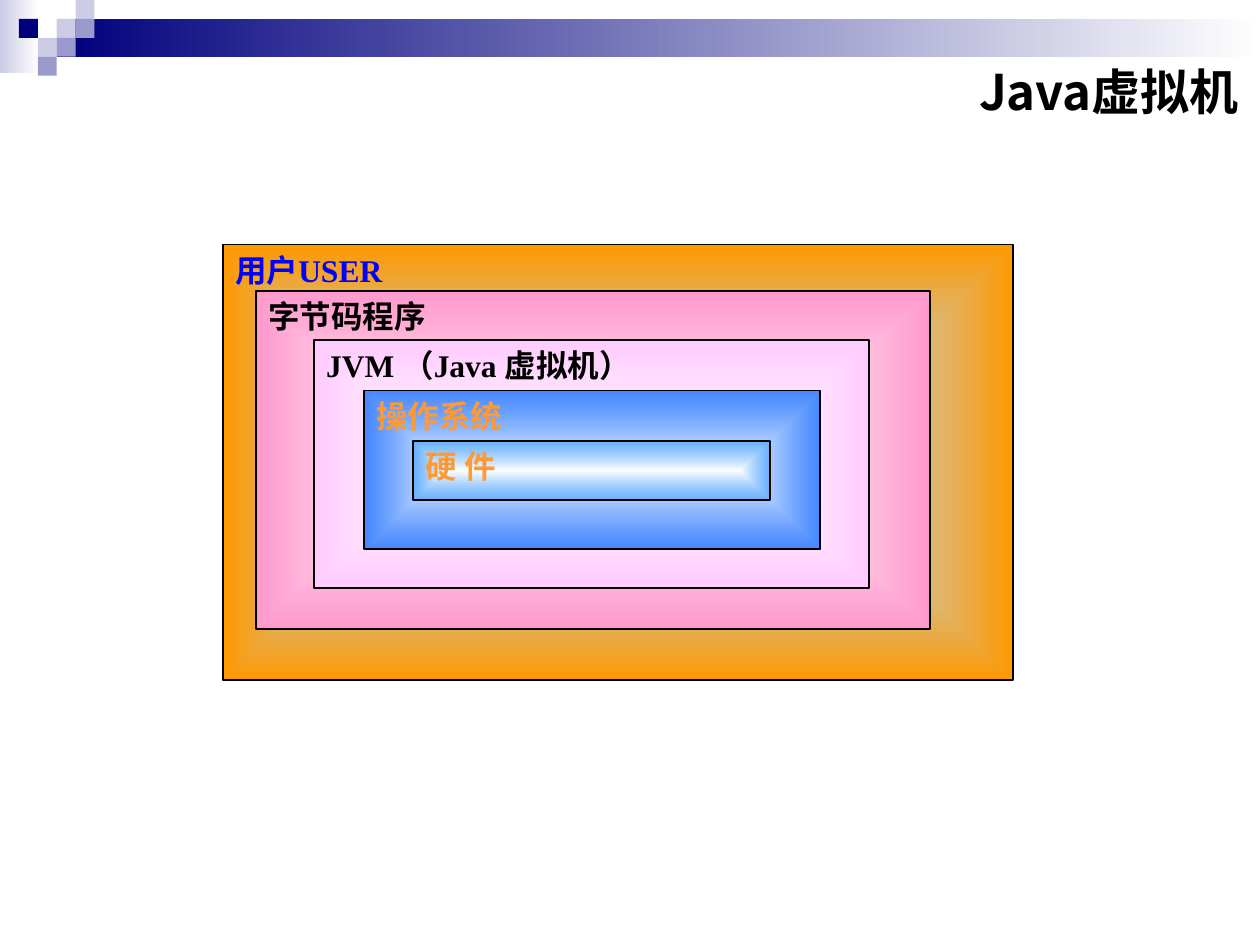
from dataclasses import dataclass
from lxml.etree import SubElement
from pptx import Presentation
from pptx.dml.color import RGBColor
from pptx.enum.shapes import MSO_SHAPE
from pptx.enum.text import MSO_ANCHOR, PP_ALIGN
from pptx.oxml.ns import qn
from pptx.util import Pt


@dataclass(frozen=True)
class Theme:
    navy: str = "00007D"
    violet: str = "9999CC"
    lilac: str = "CCCCE6"
    white: str = "FFFFFF"
    black: str = "000000"
    blue: str = "0000FF"
    sky: str = "99CCFF"
    amber: str = "FF9900"
    orange: str = "FF9933"
    rose: str = "FF99CC"
    pink: str = "FFCCFF"
    royal: str = "0066FF"
    azure: str = "3399FF"
    title_size: int = 28
    label_size: int = 18
    cjk: str = "Noto Sans CJK SC"
    serif: str = "Times New Roman"


class Deck:
    """Holds the theme and the current slide, and draws each kind of element."""

    def __init__(self, theme):
        self.t = theme
        self.prs = Presentation()
        self.prs.slide_width, self.prs.slide_height = Pt(720), Pt(540)
        self.s = self.prs.slides.add_slide(self.prs.slide_layouts[5])

    def run(self, p, text, size, font, color):
        r = p.add_run()
        r.text = text
        f = r.font
        f.size, f.name, f.bold = Pt(size), font, True
        f.color.rgb = RGBColor.from_string(color)
        SubElement(r._r.get_or_add_rPr(), qn("a:ea"), typeface=self.t.cjk)

    def title(self, text, box):
        sp = self.s.shapes.title
        sp.left, sp.top, sp.width, sp.height = map(Pt, box)
        tf = sp.text_frame
        tf.word_wrap, tf.vertical_anchor = True, MSO_ANCHOR.MIDDLE
        p = tf.paragraphs[0]
        p.alignment = PP_ALIGN.RIGHT
        self.run(p, text, self.t.title_size, self.t.cjk, self.t.black)

    def rect(self, box, color):
        sp = self.s.shapes.add_shape(MSO_SHAPE.RECTANGLE, *map(Pt, box))
        sp.shadow.inherit = False
        sp.line.fill.background()
        sp.fill.solid()
        sp.fill.fore_color.rgb = RGBColor.from_string(color)
        return sp

    def gradient(self, box, start, end):
        sp = self.rect(box, start)
        sp.fill.gradient()
        sp.fill.gradient_angle = 0
        for stop, pos, color in zip(sp.fill.gradient_stops, (0, 1), (start, end)):
            stop.position = pos
            stop.color.rgb = RGBColor.from_string(color)
        return sp

    def layer(self, box, label, color, inner, outer, alphas=(100, 100)):
        sp = self.gradient(box, inner, outer)
        grad = sp._element.spPr.find(qn("a:gradFill"))
        for clr, alpha in zip(grad.iter(qn("a:srgbClr")), alphas):
            if alpha < 100:
                SubElement(clr, qn("a:alpha"), val=str(alpha * 1000))
        grad.remove(grad.find(qn("a:lin")))
        path = SubElement(grad, qn("a:path"), path="rect")
        SubElement(path, qn("a:fillToRect"), l="50000", t="50000", r="50000", b="50000")
        sp.line.color.rgb = RGBColor.from_string(self.t.black)
        sp.line.width = Pt(1)
        tf = sp.text_frame
        tf.word_wrap, tf.vertical_anchor = True, MSO_ANCHOR.TOP
        p = tf.paragraphs[0]
        p.alignment = PP_ALIGN.LEFT
        self.run(p, label, self.t.label_size, self.t.serif, color)


def main():
    t = Theme()
    d = Deck(t)
    d.gradient((0, 0, 22.3, 41.8), t.lilac, t.white)
    d.gradient((32.4, 10.8, 687.6, 21.6), t.navy, t.white)
    unit = 10.8
    squares = [(3, 1, t.lilac), (4, 0, t.lilac), (4, 1, t.violet), (2, 2, t.lilac),
               (1, 1, t.navy), (3, 2, t.violet), (2, 3, t.violet)]
    for col, row, color in squares:
        d.rect((col * unit, row * unit, unit, unit), color)
    d.title("Java虚拟机", (345.6, 32.4, 369.4, 39.6))
    layers = [
        ((127.4, 139.7, 451.4, 249.1), "用户USER", t.blue, t.sky, t.amber, (60, 100)),
        ((146.2, 166.3, 385.2, 193), "字节码程序", t.black, t.white, t.rose),
        ((179.3, 194.4, 317.5, 141.8), "JVM （Java 虚拟机）", t.black, t.white, t.pink),
        ((208, 223.2, 260.6, 90.7), "操作系统", t.orange, t.white, t.royal, (100, 72)),
        ((236.2, 252, 203.8, 33.8), "硬 件", t.orange, t.white, t.azure, (100, 54)),
    ]
    for layer in layers:
        d.layer(*layer)
    d.prs.save("out.pptx")


if __name__ == "__main__":
    main()
